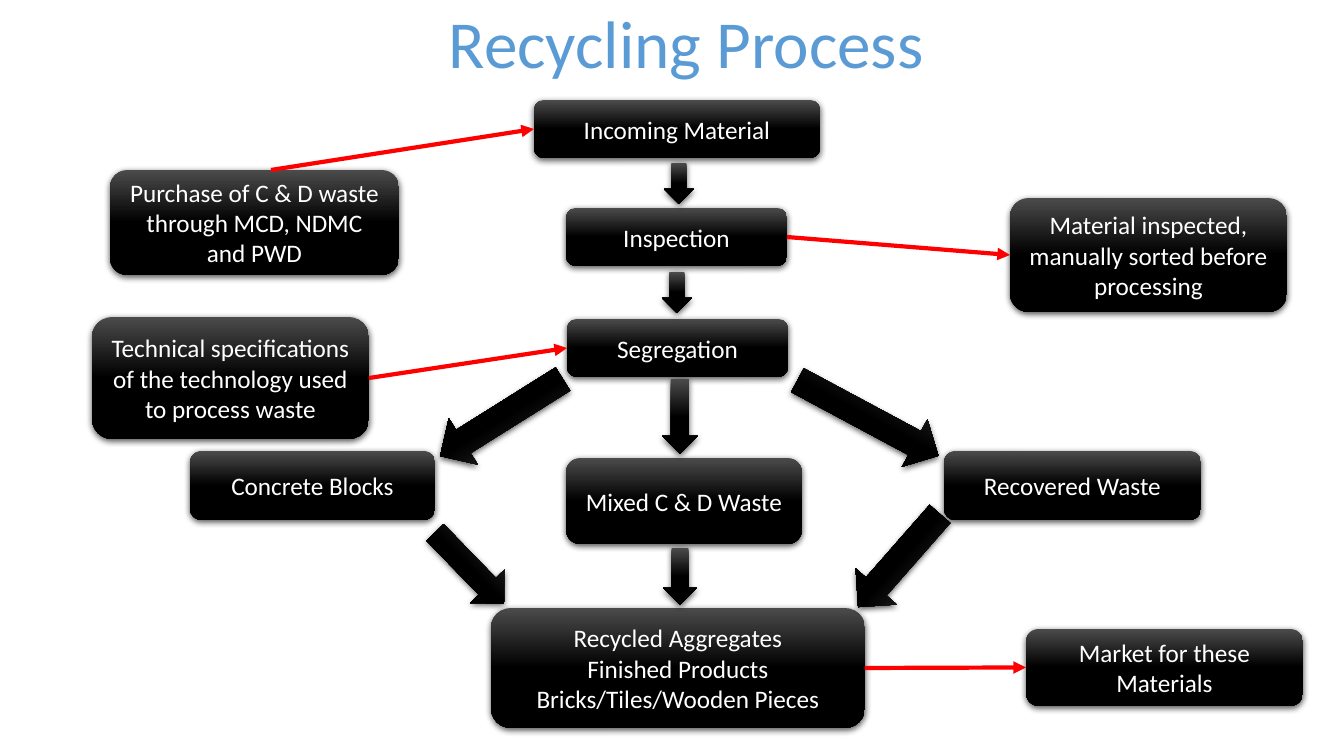
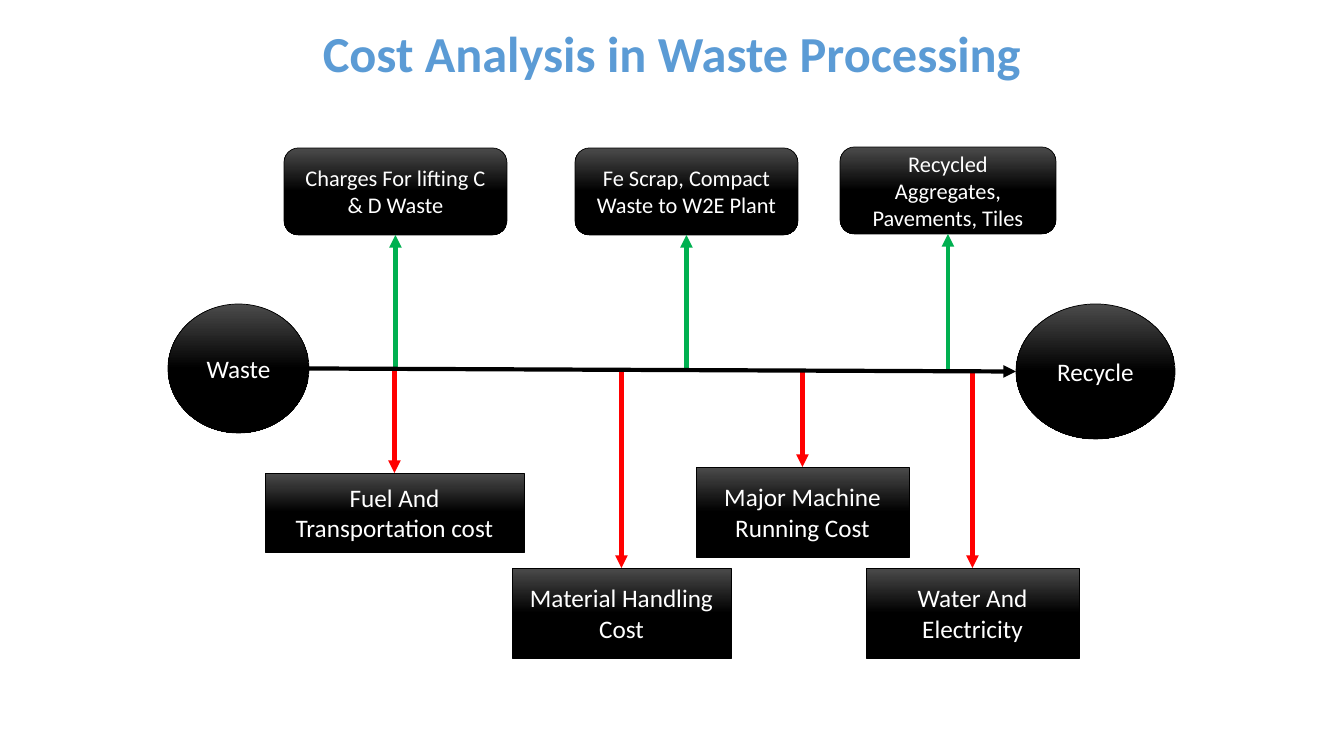
import pptx
import pptx.dml.color
import pptx.enum.shapes
import pptx.enum.text
import pptx.oxml
import pptx.oxml.ns
import pptx.util

SHAPES = pptx.enum.shapes.MSO_SHAPE
EMU_PER_PX = 914400 / 100.8
SLIDE_SIZE = (1344, 756)
FONT = "Calibri"
COLORS = {
    "title": "5B9BD5",
    "box_top": "4B4B4B",
    "black": "000000",
    "white": "FFFFFF",
    "red": "FF0000",
    "green": "00B050",
}
TOP, LEFT, BOTTOM, RIGHT = range(4)

# Recycling process: name -> (text, (left, top, width, height))
PROCESS_BOXES = {
    "incoming": ("Incoming Material", (534, 100, 286, 58)),
    "inspection": ("Inspection", (566, 208, 221, 58)),
    "technical": ("Technical specifications of the technology used to process waste", (92, 317, 277, 122)),
    "market": ("Market for these Materials", (1026, 629, 277, 77)),
    "purchase": ("Purchase of C & D waste through MCD, NDMC and PWD", (110, 170, 289, 105)),
    "sorting": ("Material inspected, manually sorted before processing", (1010, 198, 277, 114)),
    "concrete": ("Concrete Blocks", (190, 451, 245, 69)),
    "recovered": ("Recovered Waste", (944, 451, 257, 69)),
    "segregation": ("Segregation", (567, 319, 221, 58)),
    "mixed": ("Mixed C & D Waste", (566, 458, 236, 86)),
    "products": ("Recycled Aggregates\nFinished Products\nBricks/Tiles/Wooden Pieces", (491, 608, 374, 120)),
}
SIDE_LINKS = [("technical", "segregation"), ("inspection", "sorting"), ("products", "market")]
PURCHASE_START = (271, 170)
DOWN_ARROWS = [(664, 163, 30, 41), (662, 272, 30, 41), (662, 379, 36, 75), (663, 548, 34, 57)]
# ((left, top, width, height), rotation)
SLANTED_ARROWS = [
    ((429, 390, 145, 55), 147.9),
    ((788, 391, 160, 54), 28.2),
    ((837, 533, 124, 55), 131.3),
    ((420, 544, 99, 48), 45.9),
]

# Cost analysis
WASTE = ("Waste", (168, 304, 141, 129))
RECYCLE = ("Recycle", (1016, 304, 159, 135))
INCOME = [
    ("Charges For lifting C & D Waste", (284, 148, 223, 87), SHAPES.FLOWCHART_ALTERNATE_PROCESS),
    ("Fe Scrap, Compact Waste to W2E Plant", (575, 148, 223, 87), SHAPES.ROUNDED_RECTANGLE),
    ("Recycled Aggregates, Pavements, Tiles", (840, 147, 216, 87), SHAPES.FLOWCHART_ALTERNATE_PROCESS),
]
COSTS = [
    ("Fuel And Transportation cost", (265, 473, 259, 79)),
    ("Material Handling Cost", (512, 568, 219, 90)),
    ("Major Machine Running Cost", (696, 467, 213, 90)),
    ("Water And Electricity", (866, 568, 213, 90)),
]


def emu(*lengths):
    return [pptx.util.Emu(round(length * EMU_PER_PX)) for length in lengths]


def rgb(name):
    return pptx.dml.color.RGBColor.from_string(COLORS[name])


def add_xml(parent, xml):
    """Append a DrawingML element whose markup has a %s for the namespace."""
    parent.append(pptx.oxml.parse_xml(xml % pptx.oxml.ns.nsdecls("a")))


def write_text(shape, text, size=18, color="white", bold=False):
    frame = shape.text_frame
    frame.word_wrap = True
    frame.vertical_anchor = pptx.enum.text.MSO_ANCHOR.MIDDLE
    frame.text = text
    for paragraph in frame.paragraphs:
        paragraph.alignment = pptx.enum.text.PP_ALIGN.CENTER
        paragraph.font.name = FONT
        paragraph.font.size = pptx.util.Pt(size)
        paragraph.font.bold = bold
        paragraph.font.color.rgb = rgb(color)


def add_title(slide, text, place, size, bold=False):
    title = slide.shapes.add_textbox(*emu(*place))
    frame = title.text_frame
    frame.margin_left = frame.margin_right = frame.margin_bottom = 0
    frame.margin_top = emu(1)[0]
    write_text(title, text, size=size, color="title", bold=bold)


def add_block(slide, kind, place, text="", size=18, shadow=False, rotation=0):
    """Add a dark gradient shape, with either a soft shadow or a thin outline."""
    block = slide.shapes.add_shape(kind, *emu(*place))
    block.rotation = rotation
    block.fill.gradient()
    block.fill.gradient_angle = 270
    for stop, color, position in zip(block.fill.gradient_stops, ("box_top", "black"), (0, 0.5)):
        stop.color.rgb = rgb(color)
        stop.position = position
    block.shadow.inherit = False
    if shadow:
        block.line.fill.background()
        add_xml(
            block._element.spPr.find(pptx.oxml.ns.qn("a:effectLst")),
            '<a:outerShdw %s blurRad="57150" dist="19050" dir="5400000" algn="ctr" rotWithShape="0">'
            '<a:srgbClr val="000000"><a:alpha val="63000"/></a:srgbClr></a:outerShdw>',
        )
    else:
        block.line.color.rgb = rgb("black")
        block.line.width = pptx.util.Pt(0.5)
    if text:
        write_text(block, text, size=size)
    return block


def add_arrow(slide, color, start=(0, 0), end=(0, 0), start_site=None, end_site=None):
    """Draw between points; a (shape, side) site replaces the point at its end."""
    arrow = slide.shapes.add_connector(pptx.enum.shapes.MSO_CONNECTOR.STRAIGHT, *emu(*start, *end))
    if start_site:
        arrow.begin_connect(*start_site)
    if end_site:
        arrow.end_connect(*end_site)
    arrow.line.color.rgb = rgb(color)
    arrow.line.width = pptx.util.Pt(3)
    add_xml(arrow.line._get_or_add_ln(), '<a:tailEnd %s type="triangle"/>')
    add_xml(arrow._element.spPr, "<a:effectLst %s/>")


def build_process(slide):
    add_title(slide, "Recycling Process", (231, 0, 911, 83), size=48)
    boxes = {
        name: add_block(slide, SHAPES.ROUNDED_RECTANGLE, place, text, shadow=True)
        for name, (text, place) in PROCESS_BOXES.items()
    }
    for source, target in SIDE_LINKS:
        add_arrow(slide, "red", start_site=(boxes[source], RIGHT), end_site=(boxes[target], LEFT))
    add_arrow(slide, "red", start=PURCHASE_START, end_site=(boxes["incoming"], LEFT))
    for place in DOWN_ARROWS:
        add_block(slide, SHAPES.DOWN_ARROW, place, shadow=True)
    for place, rotation in SLANTED_ARROWS:
        add_block(slide, SHAPES.RIGHT_ARROW, place, shadow=True, rotation=rotation)


def build_costs(slide):
    add_title(slide, "Cost Analysis in Waste Processing", (305, 20, 734, 63), size=36, bold=True)
    for text, place in (WASTE, RECYCLE):
        add_block(slide, SHAPES.OVAL, place, text)
    left, top, width, height = WASTE[1]
    axis_start = (left + width, top + height / 2)
    left, top, width, height = RECYCLE[1]
    axis_end = (left, top + height / 2)
    slope = (axis_end[1] - axis_start[1]) / (axis_end[0] - axis_start[0])

    def axis_point(place):
        """Point of the axis in line with the middle of a box."""
        middle = place[0] + place[2] / 2
        return middle, axis_start[1] + slope * (middle - axis_start[0])

    for text, place, kind in INCOME:
        box = add_block(slide, kind, place, text, size=16)
        add_arrow(slide, "green", start=axis_point(place), end_site=(box, BOTTOM))
    for text, place in COSTS:
        box = add_block(slide, SHAPES.RECTANGLE, place, text)
        add_arrow(slide, "red", start=axis_point(place), end_site=(box, TOP))
    add_arrow(slide, "black", start=axis_start, end=axis_end)


def main():
    presentation = pptx.Presentation()
    presentation.slide_width, presentation.slide_height = emu(*SLIDE_SIZE)
    for build in (build_process, build_costs):
        build(presentation.slides.add_slide(presentation.slide_layouts[6]))
    presentation.save("out.pptx")


if __name__ == "__main__":
    main()
